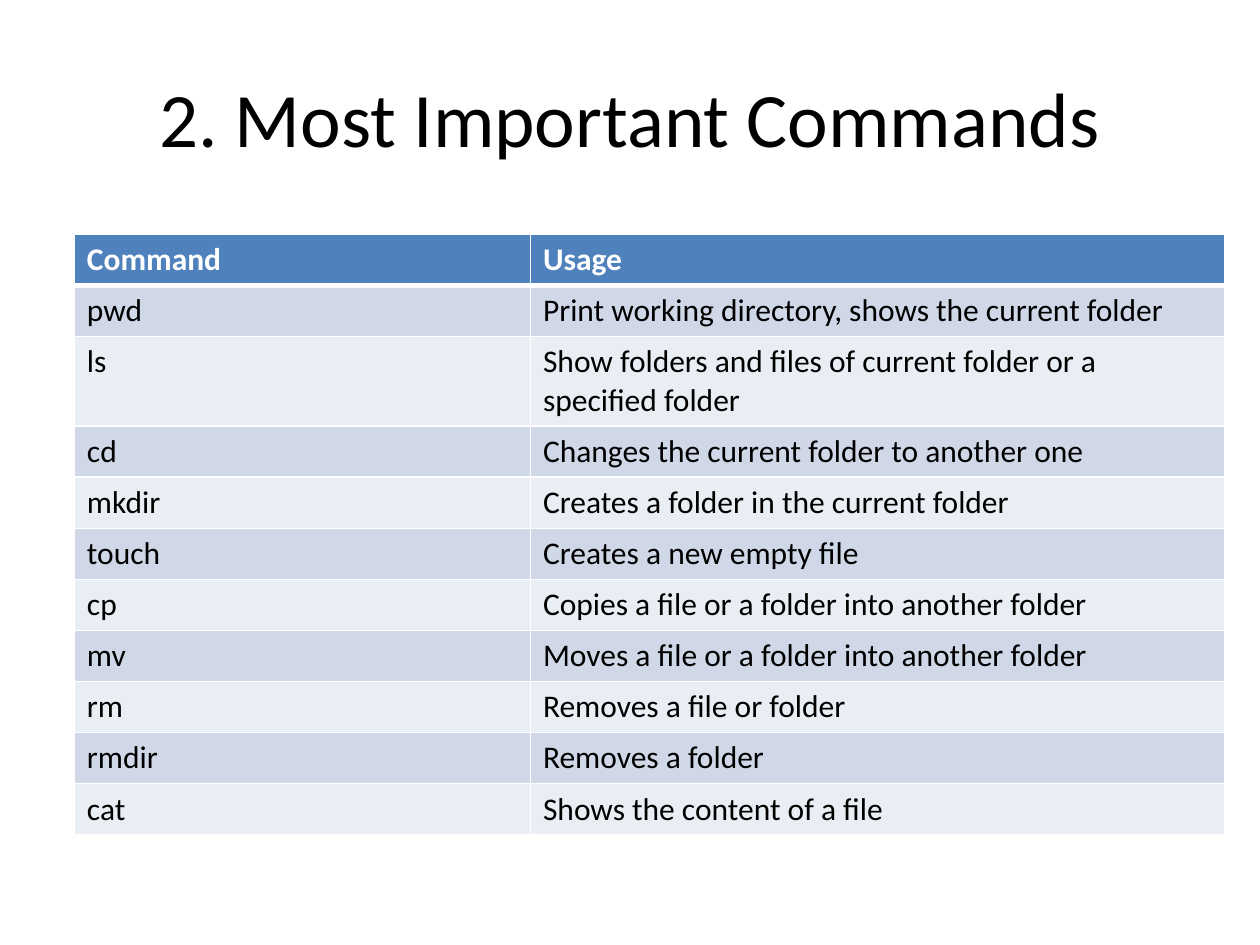
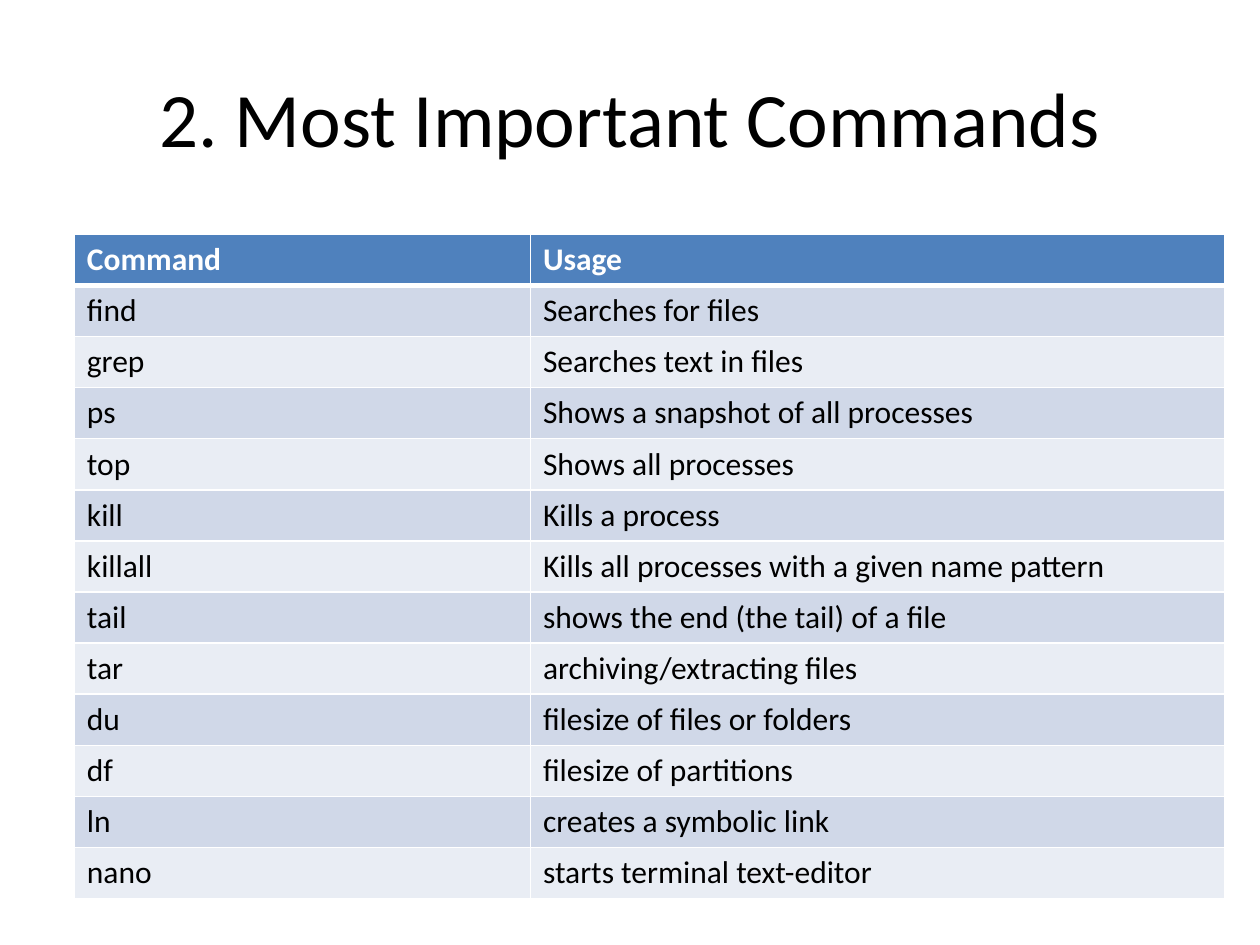
import pptx
import pptx.dml.color
import pptx.enum.text
import pptx.util
from lxml import etree
from pptx.oxml.ns import qn
from pptx.util import Inches

# Content
TITLE = "2. Most Important Commands"
HEADER = ("Command", "Usage")
COMMAND_TABLES = [
    [
        ("pwd", "Print working directory, shows the current folder"),
        ("ls", "Show folders and files of current folder or a specified folder"),
        ("cd", "Changes the current folder to another one"),
        ("mkdir", "Creates a folder in the current folder"),
        ("touch", "Creates a new empty file"),
        ("cp", "Copies a file or a folder into another folder"),
        ("mv", "Moves a file or a folder into another folder"),
        ("rm", "Removes a file or folder"),
        ("rmdir", "Removes a folder"),
        ("cat", "Shows the content of a file"),
    ],
    [
        ("find", "Searches for files"),
        ("grep", "Searches text in files"),
        ("ps", "Shows a snapshot of all processes"),
        ("top", "Shows all processes"),
        ("kill", "Kills a process"),
        ("killall", "Kills all processes with a given name pattern"),
        ("tail", "shows the end (the tail) of a file"),
        ("tar", "archiving/extracting files"),
        ("du", "filesize of files or folders"),
        ("df", "filesize of partitions"),
        ("ln", "creates a symbolic link"),
        ("nano", "starts terminal text-editor"),
    ],
]

# Shared style
FONT = "Calibri"
BLACK, WHITE = "000000", "FFFFFF"
HEADER_FILL = "4F81BD"
BANDS = ("E9EDF4", "D0D8E8")
COLUMNS = (3.62, 5.51)
ROW_HEIGHT = Inches(5.27) // 13


def rgb(value):
    return pptx.dml.color.RGBColor.from_string(value)


def style_font(p, size, color, bold=False):
    for r in p.runs:
        r.font.name = FONT
        r.font.size = pptx.util.Pt(size)
        r.font.bold = bold
        r.font.color.rgb = rgb(color)


def set_borders(cell, top=1, bottom=1):
    tc_pr = cell._tc.get_or_add_tcPr()
    for side, width in (("L", 1), ("R", 1), ("T", top), ("B", bottom)):
        ln = etree.SubElement(tc_pr, qn(f"a:ln{side}"), w=str(pptx.util.Pt(width)))
        fill = etree.SubElement(ln, qn("a:solidFill"))
        etree.SubElement(fill, qn("a:srgbClr"), val=WHITE)


def add_title(s):
    sp = s.shapes.title
    sp.left, sp.top, sp.width, sp.height = map(Inches, (0.5, 0.3, 9, 1.25))
    tf = sp.text_frame
    tf.text = TITLE
    tf.vertical_anchor = pptx.enum.text.MSO_ANCHOR.MIDDLE
    p = tf.paragraphs[0]
    p.alignment = pptx.enum.text.PP_ALIGN.CENTER
    style_font(p, 44, BLACK)


def add_command_table(s, commands):
    rows = [HEADER, *commands]
    table = s.shapes.add_table(
        len(rows), len(COLUMNS), Inches(0.59), Inches(1.86),
        Inches(sum(COLUMNS)), ROW_HEIGHT * len(rows)).table
    for column, width in zip(table.columns, COLUMNS):
        column.width = Inches(width)
    for i, row in enumerate(rows):
        is_header = i == 0
        for j, text in enumerate(row):
            cell = table.cell(i, j)
            cell.text = text
            # The rule under the header is thicker
            set_borders(cell, top=3 if i == 1 else 1, bottom=3 if is_header else 1)
            cell.fill.solid()
            cell.fill.fore_color.rgb = rgb(HEADER_FILL if is_header else BANDS[i % 2])
            style_font(cell.text_frame.paragraphs[0], 18,
                       WHITE if is_header else BLACK, is_header)


def main():
    prs = pptx.Presentation()
    prs.slide_width, prs.slide_height = Inches(10), Inches(7.5)
    for commands in COMMAND_TABLES:
        s = prs.slides.add_slide(prs.slide_layouts[5])
        add_title(s)
        add_command_table(s, commands)
    prs.save("out.pptx")


if __name__ == "__main__":
    main()
